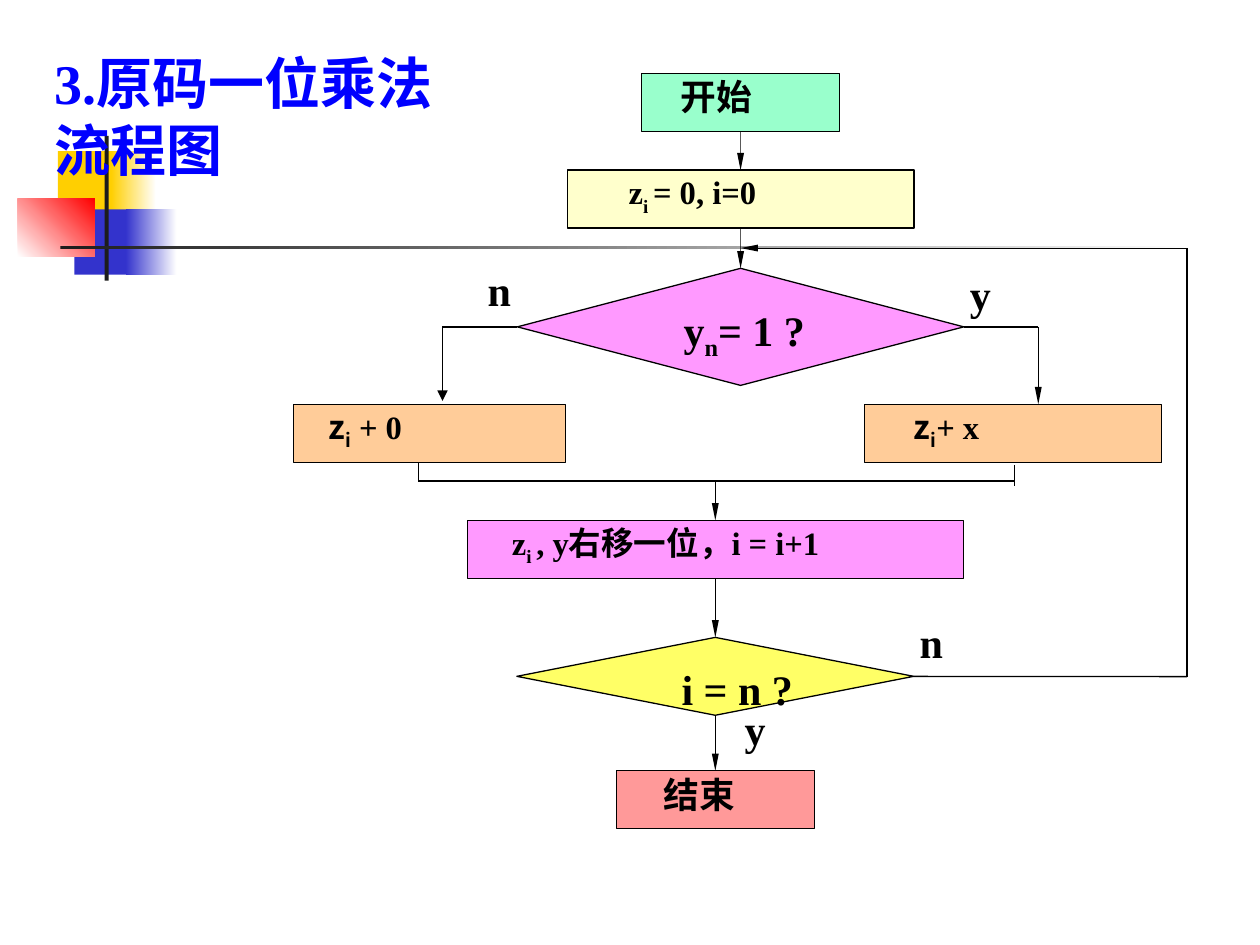
from dataclasses import dataclass

from lxml import etree
from pptx import Presentation
from pptx.dml.color import RGBColor
from pptx.enum import shapes, text
from pptx.oxml import ns
from pptx.util import Cm, Pt


@dataclass(frozen=True)
class Theme:
    serif: str = "Times New Roman"
    sans: str = "Noto Sans CJK SC"
    ink: str = "000000"
    title: str = "0000FF"
    mint: str = "99FFCC"
    cream: str = "FFFFCC"
    pink: str = "FF99FF"
    orange: str = "FFCC99"
    lemon: str = "FFFF66"
    salmon: str = "FF9999"
    gold: str = "FFCF01"
    navy: str = "3333CC"
    red: str = "FF0000"
    dark: str = "1C1C1C"
    white: str = "FFFFFF"
    title_size: float = 32
    question_size: float = 24
    terminal_size: float = 20.4
    step_size: float = 18.6
    line: float = 0.75
    hairline: float = 0.25


THEME = Theme()
TOP, LEFT, BOTTOM, RIGHT = range(4)
AXIS, LOWER_AXIS = 14.93, 14.42
BRANCH_Y, RETURN_Y, MERGE_Y, REPEAT_Y = 6.59, 5.0, 9.7, 13.64
ZERO_X, ADD_X, RETURN_X = 8.92, 20.93, 23.93
ZERO_OUT_X, ADD_OUT_X = 8.43, 20.45

DECORATION = [
    (1.17, 3.05, 1.22, 1.32, [THEME.gold], 0),
    (2.24, 3.05, 0.91, 1.32, [THEME.gold, THEME.white], 0),
    (1.5, 4.22, 1.17, 1.32, [THEME.navy], 0),
    (2.54, 4.22, 1.02, 1.32, [THEME.navy, THEME.white], 0),
    (0.36, 4.01, 1.55, 1.17, [THEME.white, THEME.red], 45),
    (2.11, 2.74, 0.08, 2.92, [THEME.dark], 0),
    (1.22, 4.95, 22.86, 0.08, [THEME.dark, THEME.white], 0),
]

TERMINAL = dict(size=THEME.terminal_size, spacing=0.9)
STEP = dict(size=THEME.step_size, spacing=0.8)
SANS_STEP = dict(STEP, fonts=[THEME.sans, THEME.sans, THEME.serif])
QUESTION = dict(size=THEME.question_size)

RECTANGLE = shapes.MSO_SHAPE.RECTANGLE
DIAMOND = shapes.MSO_SHAPE.DIAMOND
BOXES = {
    "start": (RECTANGLE, AXIS, 1.48, 3.99, 1.17, THEME.mint, ["开始"], 0.79, TERMINAL),
    "reset": (RECTANGLE, AXIS, 3.43, 6.99, 1.17, THEME.cream, ["z", "i ", "= 0, i=0"], 1.24, STEP),
    "bit test": (DIAMOND, AXIS, 5.41, 9, 2.36, THEME.pink, ["y", "n", "= 1 ?"], 1.1, QUESTION),
    "add zero": (RECTANGLE, 8.66, 8.15, 5.49, 1.17, THEME.orange, ["z", "i", " + 0"], 0.71, SANS_STEP),
    "add x": (RECTANGLE, 20.42, 8.15, 5.99, 1.17, THEME.orange, ["z", "i", "+ x"], 1, SANS_STEP),
    "shift": (RECTANGLE, LOWER_AXIS, 10.49, 10, 1.17, THEME.pink,
              ["z", "i ", ", y右移一位，i = i+1"], 0.9, STEP),
    "count test": (DIAMOND, LOWER_AXIS, 12.85, 8, 1.57, THEME.lemon, ["i = n ?"], 1.32, QUESTION),
    "end": (RECTANGLE, LOWER_AXIS, 15.54, 3.99, 1.17, THEME.salmon, ["结束"], 0.95, TERMINAL),
}

ARROWS = [
    (("start", BOTTOM), ("reset", TOP)),
    (("reset", BOTTOM), ("bit test", TOP)),
    ((ADD_X, BRANCH_Y), (ADD_X, 8.15)),
    ((RETURN_X, RETURN_Y), (AXIS, RETURN_Y)),
    ((LOWER_AXIS, MERGE_Y), ("shift", TOP)),
    (("shift", BOTTOM), ("count test", TOP)),
    (("count test", BOTTOM), ("end", TOP)),
]
LINES = [
    (("bit test", LEFT), (ZERO_X, BRANCH_Y)),
    (("bit test", RIGHT), (ADD_X, BRANCH_Y)),
    (("count test", RIGHT), (RETURN_X, REPEAT_Y)),
    ((RETURN_X, REPEAT_Y), (RETURN_X, RETURN_Y)),
    ((ZERO_OUT_X, 9.32), (ZERO_OUT_X, MERGE_Y)),
    ((ADD_OUT_X, MERGE_Y), (ZERO_OUT_X, MERGE_Y)),
    ((ADD_OUT_X, 9.37), (ADD_OUT_X, 9.8)),
]
LABELS = [("y", 19.3, 5.28), ("y", 14.76, 14.05), ("n", 9.58, 5.21), ("n", 18.29, 12.29)]


def color(value):
    return RGBColor.from_string(value)


def write(frame, runs, *, size, fonts=None, ink=THEME.ink, inset=0.25, spacing=None, align=None):
    frame.word_wrap = True
    frame.vertical_anchor = text.MSO_ANCHOR.TOP
    frame.margin_left, frame.margin_right = Cm(inset), Cm(0.25)
    frame.margin_top = frame.margin_bottom = Cm(0.13)
    paragraph = frame.paragraphs[0]
    paragraph.alignment = align
    paragraph.line_spacing = spacing
    for index, content in enumerate(runs):
        run = paragraph.add_run()
        run.text = content
        font = run.font
        font.size, font.bold = Pt(size), True
        font.color.rgb = color(ink)
        font.name = fonts[index] if fonts else THEME.serif
        properties = run._r.get_or_add_rPr()
        etree.SubElement(properties, ns.qn("a:ea")).set("typeface", THEME.sans)
        if index == 1:
            properties.set("baseline", "-25000")


def add_label(slide, content, left, top, width, height, **style):
    box = slide.shapes.add_textbox(Cm(left), Cm(top), Cm(width), Cm(height))
    write(box.text_frame, [content], **style)


def add_block(slide, kind, left, top, width, height):
    shape = slide.shapes.add_shape(kind, Cm(left), Cm(top), Cm(width), Cm(height))
    shape.shadow.inherit = False
    return shape


def add_decoration(slide, left, top, width, height, colors, angle):
    shape = add_block(slide, RECTANGLE, left, top, width, height)
    shape.line.fill.background()
    if len(colors) == 1:
        shape.fill.solid()
        shape.fill.fore_color.rgb = color(colors[0])
        return
    shape.fill.gradient()
    shape.fill.gradient_angle = angle
    for stop, position, value in zip(shape.fill.gradient_stops, (0, 1), colors):
        stop.position = position
        stop.color.rgb = color(value)


def add_box(slide, kind, center, top, width, height, fill, runs, inset, style):
    shape = add_block(slide, kind, center - width / 2, top, width, height)
    shape.fill.solid()
    shape.fill.fore_color.rgb = color(fill)
    shape.line.color.rgb = color(THEME.ink)
    shape.line.width = Pt(THEME.line)
    write(shape.text_frame, runs, inset=inset, align=text.PP_ALIGN.JUSTIFY, **style)
    return shape


def add_wire(slide, boxes, start, finish, *, width, head=None):
    wire = slide.shapes.add_connector(shapes.MSO_CONNECTOR.STRAIGHT, 0, 0, 0, 0)
    if start[0] in boxes:
        wire.begin_connect(boxes[start[0]], start[1])
    else:
        wire.begin_x, wire.begin_y = map(Cm, start)
    if finish[0] in boxes:
        wire.end_connect(boxes[finish[0]], finish[1])
    else:
        wire.end_x, wire.end_y = map(Cm, finish)
    wire.line.color.rgb = color(THEME.ink)
    wire.line.width = Pt(width)
    if head:
        tail = etree.SubElement(wire.line._get_or_add_ln(), ns.qn("a:tailEnd"))
        for name, value in zip(("type", "w", "len"), ("triangle", *head)):
            tail.set(name, value)
    etree.SubElement(wire._element.spPr, ns.qn("a:effectLst"))


def main():
    presentation = Presentation()
    presentation.slide_width, presentation.slide_height = Cm(25.4), Cm(19.05)
    slide = presentation.slides.add_slide(presentation.slide_layouts[6])
    for item in DECORATION:
        add_decoration(slide, *item)
    add_label(slide, "3.原码一位乘法流程图", 0.84, 0.84, 9.09, 2.97,
              size=THEME.title_size, ink=THEME.title)
    boxes = {name: add_box(slide, *item) for name, item in BOXES.items()}
    for start, finish in ARROWS:
        add_wire(slide, boxes, start, finish, width=THEME.hairline, head=("sm", "lg"))
    for start, finish in LINES:
        add_wire(slide, boxes, start, finish, width=THEME.line)
    add_wire(slide, boxes, (ZERO_X, BRANCH_Y), (ZERO_X, 8.08), width=THEME.line, head=("med", "med"))
    for content, left, top in LABELS:
        add_label(slide, content, left, top, 1.22, 1.27, size=THEME.question_size)
    presentation.save("out.pptx")


if __name__ == "__main__":
    main()
